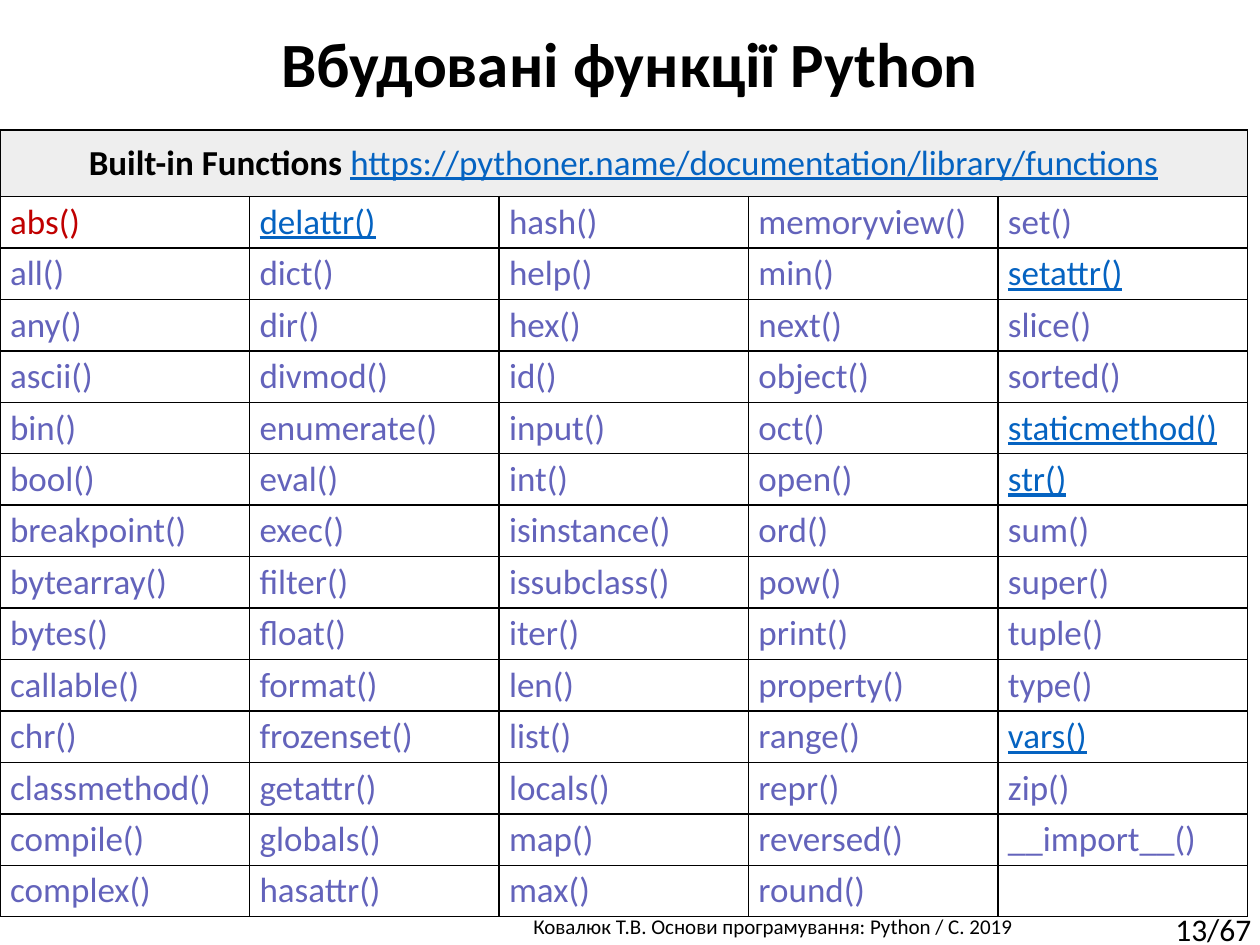
from dataclasses import dataclass

from lxml import etree
from pptx import Presentation
from pptx.dml.color import RGBColor
from pptx.enum.text import MSO_ANCHOR, PP_ALIGN
from pptx.oxml.ns import qn
from pptx.util import Inches, Pt

CENTER, LEFT, JUSTIFY = PP_ALIGN.CENTER, PP_ALIGN.LEFT, PP_ALIGN.JUSTIFY
TOP, MIDDLE = MSO_ANCHOR.TOP, MSO_ANCHOR.MIDDLE

TITLE = "Вбудовані функції Python"
HEADING = "Built-in Functions "
URL = "https://pythoner.name/documentation/library/functions"
FOOTER = "Ковалюк Т.В. Основи програмування: Python / C. 2019"
PAGE = "13/67"

# One list per column, read downwards
FUNCTIONS = [
    ["abs", "all", "any", "ascii", "bin", "bool", "breakpoint", "bytearray",
     "bytes", "callable", "chr", "classmethod", "compile", "complex"],
    ["delattr", "dict", "dir", "divmod", "enumerate", "eval", "exec", "filter",
     "float", "format", "frozenset", "getattr", "globals", "hasattr"],
    ["hash", "help", "hex", "id", "input", "int", "isinstance", "issubclass",
     "iter", "len", "list", "locals", "map", "max"],
    ["memoryview", "min", "next", "object", "oct", "open", "ord", "pow",
     "print", "property", "range", "repr", "reversed", "round"],
    ["set", "setattr", "slice", "sorted", "staticmethod", "str", "sum", "super",
     "tuple", "type", "vars", "zip", "__import__"],
]
UNDERLINED = {"delattr", "setattr", "staticmethod", "str", "vars"}
HIGHLIGHTED = {"abs"}


@dataclass(frozen=True)
class Theme:
    font: str = "Calibri"
    text: str = "000000"
    link: str = "0563C1"
    function: str = "6363BB"
    highlight: str = "C00000"
    heading_fill: str = "EEEEEE"
    cell_fill: str = "FFFFFF"
    border: str = "000000"
    title_size: int = 36
    table_size: int = 20
    footer_size: int = 12
    page_size: int = 18


THEME = Theme()

TABLE_LEFT, TABLE_TOP, TABLE_WIDTH, TABLE_HEIGHT = 0, 1.03, 9.9, 6.25
HEADING_HEIGHT = 0.53


def add_run(p, text, size, color=THEME.text, bold=False, underline=False):
    r = p.add_run()
    r.text = text
    r.font.name = THEME.font
    r.font.size = Pt(size)
    r.font.bold = bold
    r.font.underline = underline
    r.font.color.rgb = RGBColor.from_string(color)


def add_label(slide, box, text, size, align, wrap):
    tf = slide.shapes.add_textbox(*map(Inches, box)).text_frame
    tf.word_wrap = wrap
    p = tf.paragraphs[0]
    p.alignment = align
    add_run(p, text, size)


def format_cell(cell, fill):
    """Set insets, anchor, borders and fill; borders must precede the fill."""
    cell.margin_left = cell.margin_right = Inches(0.08)
    cell.margin_top = cell.margin_bottom = Inches(0.03)
    cell.vertical_anchor = MIDDLE
    props = cell._tc.get_or_add_tcPr()
    for side in ("a:lnL", "a:lnR", "a:lnT", "a:lnB"):
        line = etree.SubElement(props, qn(side), w=str(Pt(1)))
        solid = etree.SubElement(line, qn("a:solidFill"))
        etree.SubElement(solid, qn("a:srgbClr"), val=THEME.border)
    cell.fill.solid()
    cell.fill.fore_color.rgb = RGBColor.from_string(fill)


def add_title(slide):
    title = slide.shapes.title
    title.left, title.top = Inches(0.13), Inches(0.12)
    title.width, title.height = Inches(9.74), Inches(0.75)
    tf = title.text_frame
    tf.vertical_anchor = MIDDLE
    p = tf.paragraphs[0]
    p.alignment = CENTER
    add_run(p, TITLE, THEME.title_size, bold=True)


def add_function_table(slide):
    n_cols, n_rows = len(FUNCTIONS), max(map(len, FUNCTIONS))
    box = map(Inches, (TABLE_LEFT, TABLE_TOP, TABLE_WIDTH, TABLE_HEIGHT))
    table = slide.shapes.add_table(n_rows + 1, n_cols, *box).table
    table.first_row = table.horz_banding = False
    for col in table.columns:
        col.width = Inches(TABLE_WIDTH / n_cols)
    for row in table.rows:
        row.height = Inches((TABLE_HEIGHT - HEADING_HEIGHT) / n_rows)
    table.rows[0].height = Inches(HEADING_HEIGHT)

    for i in range(n_rows + 1):
        for j in range(n_cols):
            format_cell(table.cell(i, j),
                        THEME.cell_fill if i else THEME.heading_fill)

    heading = table.cell(0, 0)
    heading.merge(table.cell(0, n_cols - 1))
    p = heading.text_frame.paragraphs[0]
    p.alignment = CENTER
    add_run(p, HEADING, THEME.table_size, bold=True)
    add_run(p, URL, THEME.table_size, THEME.link, underline=True)

    for j, names in enumerate(FUNCTIONS):
        for i, name in enumerate(names, start=1):
            p = table.cell(i, j).text_frame.paragraphs[0]
            p.alignment = JUSTIFY
            linked = name in UNDERLINED
            color = THEME.link if linked else THEME.function
            if name in HIGHLIGHTED:
                color = THEME.highlight
            add_run(p, f"{name}()", THEME.table_size, color, underline=linked)


def main():
    prs = Presentation()
    prs.slide_width, prs.slide_height = Inches(10), Inches(7.5)
    slide = prs.slides.add_slide(prs.slide_layouts[5])
    add_label(slide, (3.29, 7.2, 5.69, 0.3), FOOTER, THEME.footer_size, CENTER, True)
    add_label(slide, (9.23, 7.17, 0.85, 0.4), PAGE, THEME.page_size, LEFT, False)
    add_function_table(slide)
    add_title(slide)
    prs.save("out.pptx")


if __name__ == "__main__":
    main()
